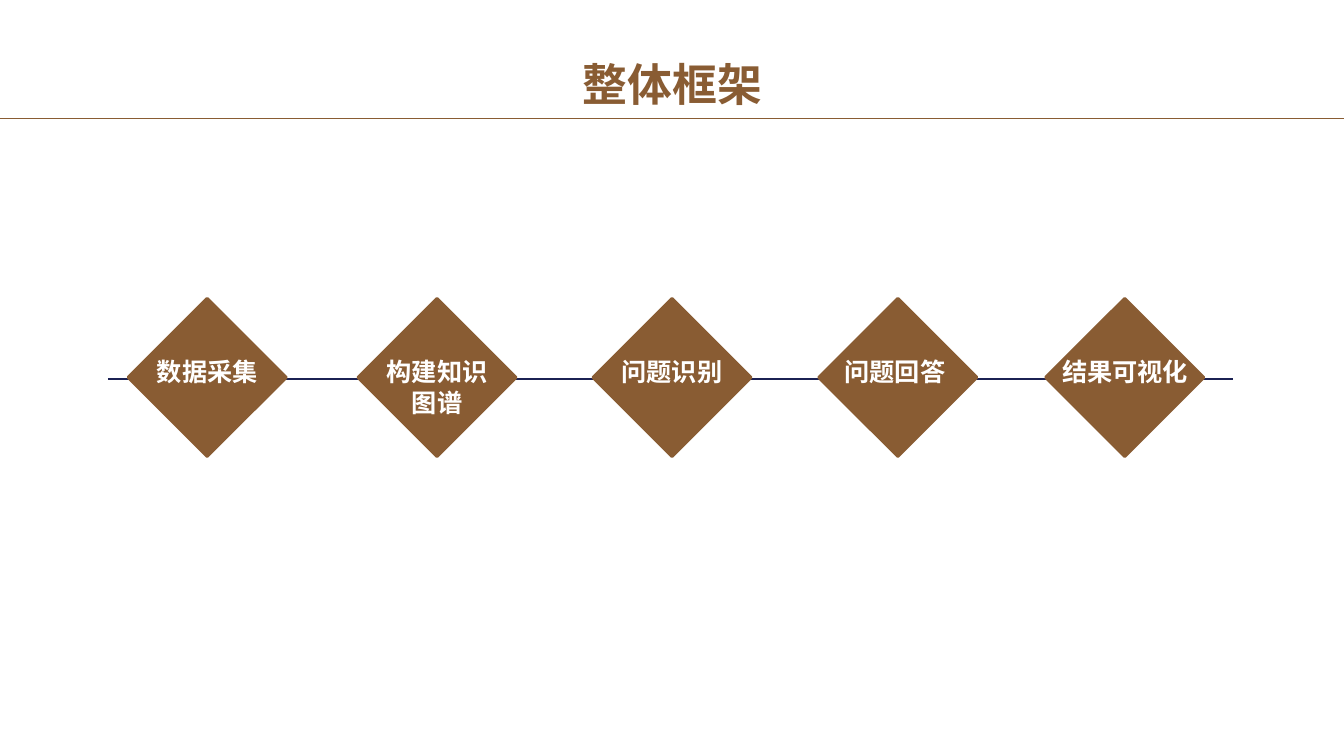
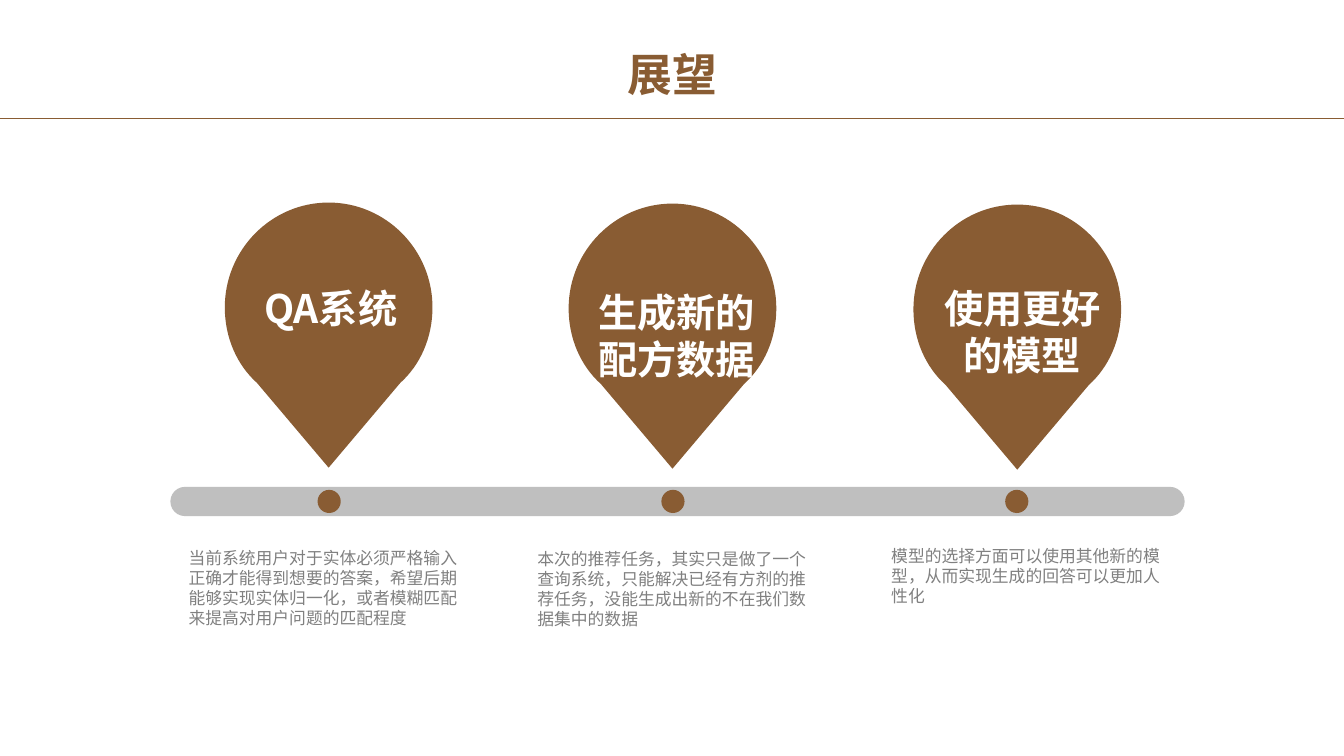
from dataclasses import dataclass

from lxml import etree
from pptx import Presentation
from pptx.dml.color import RGBColor
from pptx.enum.shapes import MSO_CONNECTOR, MSO_SHAPE
from pptx.enum.text import MSO_ANCHOR, MSO_AUTO_SIZE, PP_ALIGN
from pptx.oxml.ns import qn
from pptx.shapes.autoshape import Shape
from pptx.slide import Slide
from pptx.text.text import TextFrame
from pptx.util import Inches, Pt

COLORS = {"brown": "895C33", "navy": "1B2153", "gray": "BFBFBF",
          "text": "808080", "white": "FFFFFF"}
FONT = "Noto Sans CJK JP"
SLIDE_WIDTH = 13.33


@dataclass(frozen=True)
class Step:
    text: str
    left: float
    label_left: float
    label_width: float = 1.21
    label_height: float = 0.4
    wrap: bool = False


@dataclass(frozen=True)
class Outlook:
    heading: str
    heading_left: float
    heading_top: float
    heading_height: float
    pin_center: float
    pin_top: float
    caption: str
    caption_left: float
    caption_top: float
    caption_height: float


STEPS = [
    Step("数据采集", 1.27, 1.45),
    Step("构建知识图谱", 3.55, 3.69, 1.29, 0.71, wrap=True),
    Step("问题识别", 5.88, 6.06),
    Step("问题回答", 8.12, 8.27),
    Step("结果可视化", 10.37, 10.43, 1.46),
]
DIAMOND_SIZE = 1.57

OUTLOOKS = [
    Outlook("QA系统", 2.25, 2.78, 0.55, 3.26, 2.01,
            "当前系统用户对于实体必须严格输入正确才能得到想要的答案，希望后期"
            "能够实现实体归一化，或者模糊匹配来提高对用户问题的匹配程度",
            1.79, 5.39, 0.88),
    Outlook("生成新的配方数据", 5.68, 2.82, 1.02, 6.67, 2.02,
            "本次的推荐任务，其实只是做了一个查询系统，只能解决已经有方剂的推"
            "荐任务，没能生成出新的不在我们数据集中的数据",
            5.25, 5.4, 0.88),
    Outlook("使用更好的模型", 9.11, 2.78, 1.02, 10.09, 2.03,
            "模型的选择方面可以使用其他新的模型，从而实现生成的回答可以更加人"
            "性化", 8.76, 5.37, 0.68),
]
FIRST_DOT, DOT_GAP, DOT_SIZE = 3.15, 3.41, 0.23

# Pin outline from its top centre: one point is a line, three are a curve
PIN_SEGMENTS = [
    [(0.57, 0), (1.03, 0.47), (1.03, 1.04)],
    [(1.03, 1.34), (0.91, 1.61), (0.71, 1.79)],
    [(0, 2.63)],
    [(-0.71, 1.79)],
    [(-0.91, 1.61), (-1.03, 1.34), (-1.03, 1.04)],
    [(-1.03, 0.47), (-0.57, 0), (0, 0)],
]


def rgb(color: str) -> RGBColor:
    return RGBColor.from_string(COLORS[color])


def write(frame: TextFrame, text: str, size: float, color: str,
          bold: bool = True, align: PP_ALIGN = PP_ALIGN.CENTER) -> None:
    frame.text = text
    paragraph = frame.paragraphs[0]
    paragraph.alignment = align
    font = paragraph.font
    font.size, font.bold, font.name = Pt(size), bold, FONT
    font.color.rgb = rgb(color)
    # python-pptx sets only the Latin typeface
    defaults = paragraph._p.pPr.find(qn("a:defRPr"))
    etree.SubElement(defaults, qn("a:ea")).set("typeface", FONT)


def add_text(slide: Slide, text: str, left: float, top: float, width: float,
             height: float, size: float, color: str, bold: bool = True,
             align: PP_ALIGN = PP_ALIGN.CENTER, wrap: bool = True,
             inset: tuple[float, float] = (0.08, 0.04)) -> None:
    box = slide.shapes.add_textbox(Inches(left), Inches(top),
                                   Inches(width), Inches(height))
    frame = box.text_frame
    frame.word_wrap = wrap
    frame.auto_size = MSO_AUTO_SIZE.SHAPE_TO_FIT_TEXT
    frame.margin_left = frame.margin_right = Inches(inset[0])
    frame.margin_top = frame.margin_bottom = Inches(inset[1])
    write(frame, text, size, color, bold, align)


def paint(shape: Shape, color: str) -> None:
    shape.shadow.inherit = False
    shape.fill.solid()
    shape.fill.fore_color.rgb = rgb(color)
    shape.line.fill.background()


def add_shape(slide: Slide, kind: MSO_SHAPE, left: float, top: float,
              width: float, height: float, color: str) -> Shape:
    shape = slide.shapes.add_shape(kind, Inches(left), Inches(top),
                                   Inches(width), Inches(height))
    paint(shape, color)
    return shape


def add_rule(slide: Slide, start: float, end: float, y: float, color: str) -> None:
    rule = slide.shapes.add_connector(MSO_CONNECTOR.STRAIGHT, Inches(start),
                                      Inches(y), Inches(end), Inches(y))
    rule.line.color.rgb = rgb(color)
    rule.line.width = Pt(0.75)
    etree.SubElement(rule._element.spPr, qn("a:effectLst"))


def add_pin(slide: Slide, center: float, top: float) -> None:
    """Draw a map pin, turning each group of three points into a curve."""
    points = [(Inches(center + x), Inches(top + y))
              for segment in PIN_SEGMENTS for x, y in segment]
    builder = slide.shapes.build_freeform(Inches(center), Inches(top), scale=1.0)
    builder.add_line_segments(points, close=True)
    pin = builder.convert_to_shape()
    lines = iter(list(pin._element.iter(qn("a:lnTo"))))
    for segment in PIN_SEGMENTS:
        group = [next(lines) for _ in segment]
        if len(group) == 3:
            curve = etree.Element(qn("a:cubicBezTo"))
            group[0].addprevious(curve)
            for line in group:
                curve.append(line[0])
                line.getparent().remove(line)
    paint(pin, "brown")


def add_titled_slide(prs: Presentation, title: str, title_top: float) -> Slide:
    slide = prs.slides.add_slide(prs.slide_layouts[5])
    heading = slide.shapes.title
    heading.left, heading.top = Inches(4.89), Inches(title_top)
    heading.width, heading.height = Inches(3.56), Inches(0.54)
    frame = heading.text_frame
    frame.margin_left = frame.margin_right = 0
    frame.margin_top = frame.margin_bottom = 0
    frame.vertical_anchor = MSO_ANCHOR.MIDDLE
    frame.auto_size = MSO_AUTO_SIZE.SHAPE_TO_FIT_TEXT
    write(frame, title, 32, "brown")
    add_rule(slide, 0, SLIDE_WIDTH, 1.18, "brown")
    return slide


def build_framework(prs: Presentation) -> None:
    slide = add_titled_slide(prs, "整体框架", 0.56)
    add_rule(slide, 1.07, 12.23, 3.76, "navy")
    for step in STEPS:
        diamond = add_shape(slide, MSO_SHAPE.DIAMOND, step.left, 2.96,
                            DIAMOND_SIZE, DIAMOND_SIZE, "brown")
        diamond.line.color.rgb = rgb("brown")
        diamond.line.width = Pt(2)
    for step in STEPS:
        add_text(slide, step.text, step.label_left, 3.49, step.label_width,
                 step.label_height, 18, "white", wrap=step.wrap,
                 inset=(0.1, 0.05))


def build_outlook(prs: Presentation) -> None:
    slide = add_titled_slide(prs, "展望", 0.46)
    timeline = add_shape(slide, MSO_SHAPE.ROUNDED_RECTANGLE,
                         1.69, 4.83, 10.06, 0.29, "gray")
    timeline.adjustments[0] = 0.5
    for i, outlook in enumerate(OUTLOOKS):
        add_shape(slide, MSO_SHAPE.OVAL, FIRST_DOT + i * DOT_GAP, 4.86,
                  DOT_SIZE, DOT_SIZE, "brown")
        add_pin(slide, outlook.pin_center, outlook.pin_top)
        add_text(slide, outlook.heading, outlook.heading_left,
                 outlook.heading_top, 2.06, outlook.heading_height, 28, "white")
        add_text(slide, outlook.caption, outlook.caption_left,
                 outlook.caption_top, 2.93, outlook.caption_height, 12, "text",
                 bold=False, align=PP_ALIGN.LEFT)


def main() -> None:
    prs = Presentation()
    prs.slide_width, prs.slide_height = Inches(SLIDE_WIDTH), Inches(7.5)
    build_framework(prs)
    build_outlook(prs)
    prs.save("out.pptx")


if __name__ == "__main__":
    main()
